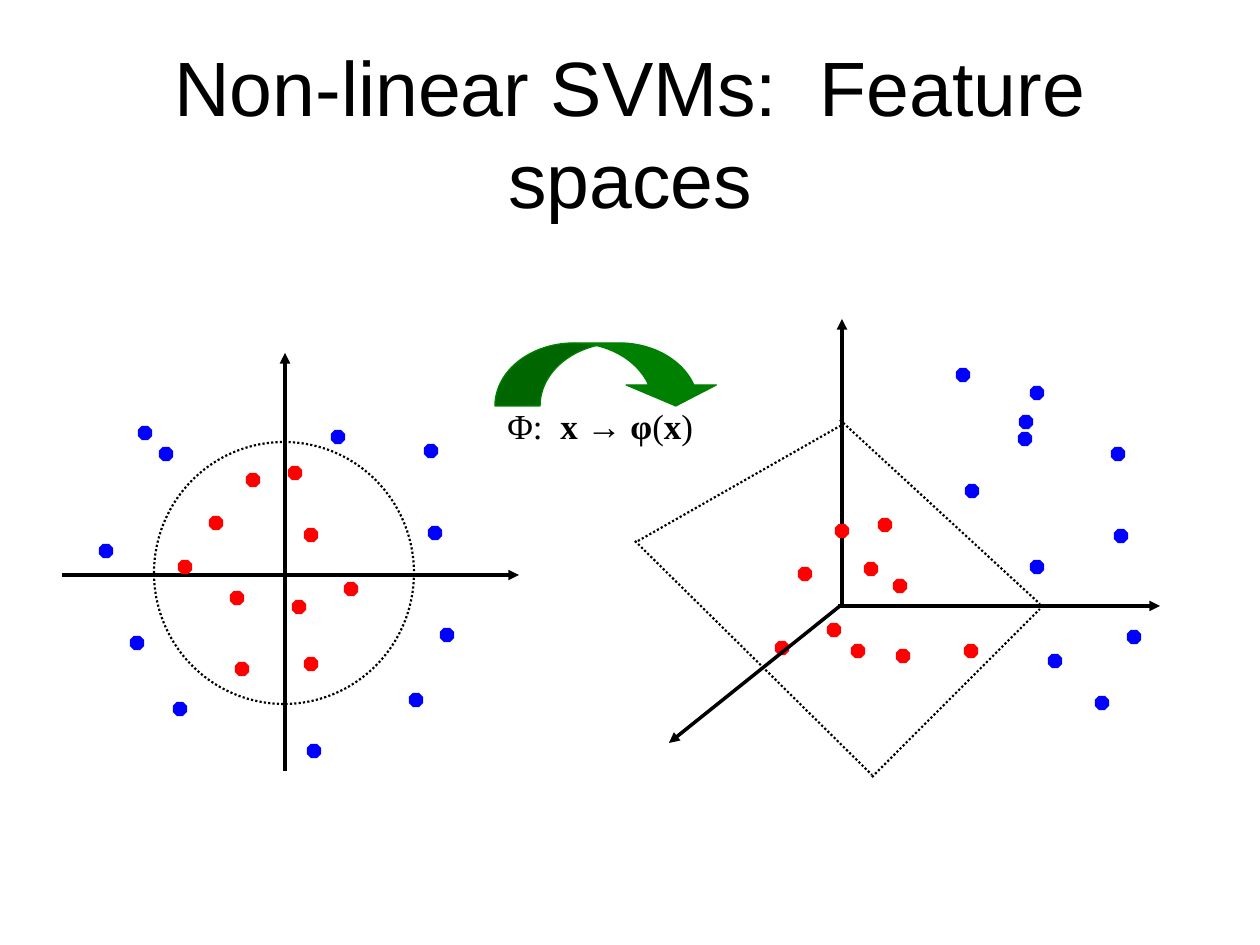
from lxml import etree
from pptx import Presentation
from pptx import util as u
from pptx.dml.color import RGBColor
from pptx.enum import dml, shapes, text
from pptx.oxml.ns import qn

BLACK = RGBColor(0x00, 0x00, 0x00)
RED = RGBColor(0xFF, 0x00, 0x00)
BLUE = RGBColor(0x00, 0x00, 0xFF)
GREEN = RGBColor(0x00, 0x80, 0x00)
SCALE = 914400 // 126


def px(*lengths):
    return [u.Emu(round(length * SCALE)) for length in lengths]


class FeatureSlide:
    """Draws the elements of a scatter diagram on one slide in one style."""

    dot_size = 13
    axis_width = u.Pt(2)
    border_width = u.Pt(1.25)

    def __init__(self, deck):
        self.shapes = deck.slides.add_slide(deck.slide_layouts[6]).shapes

    def label(self, area, spans, font, size, align, anchor, space_before=0):
        frame = self.shapes.add_textbox(*px(*area)).text_frame
        frame.word_wrap = True
        frame.vertical_anchor = anchor
        para = frame.paragraphs[0]
        para.alignment = align
        para.space_before = u.Pt(space_before)
        for words, bold in spans:
            span = para.add_run()
            span.text = words
            span.font.name = font
            span.font.size = u.Pt(size)
            span.font.bold = bold
            span.font.color.rgb = BLACK

    def solid(self, preset, area, color, adjustments):
        shape = self.shapes.add_shape(preset, *px(*area))
        shape.shadow.inherit = False
        shape.fill.solid()
        shape.fill.fore_color.rgb = color
        shape.line.color.rgb = color
        shape.line.width = u.Pt(0.75)
        for index, value in enumerate(adjustments):
            shape.adjustments[index] = value

    def dots(self, centres, color):
        size = self.dot_size
        for x, y in centres:
            area = (x - size / 2, y - size / 2, size, size)
            self.solid(shapes.MSO_SHAPE.OCTAGON, area, color, [0.29])

    def dotted(self, line):
        line.color.rgb = BLACK
        line.width = self.border_width
        line.dash_style = dml.MSO_LINE.ROUND_DOT

    def circle(self, area):
        shape = self.shapes.add_shape(shapes.MSO_SHAPE.OVAL, *px(*area))
        shape.shadow.inherit = False
        shape.fill.background()
        self.dotted(shape.line)

    def connector(self, start, end):
        link = self.shapes.add_connector(
            shapes.MSO_CONNECTOR.STRAIGHT, *px(*start, *end))
        etree.SubElement(link._element.spPr, qn("a:effectLst"))
        return link.line

    def axis(self, start, end):
        line = self.connector(start, end)
        line.color.rgb = BLACK
        line.width = self.axis_width
        etree.SubElement(line._get_or_add_ln(), qn("a:tailEnd"), type="triangle")

    def border(self, start, end):
        self.dotted(self.connector(start, end))


INPUT_RED = [(295, 473), (216, 523), (237, 598), (311, 664), (253, 480),
             (185, 567), (242, 669), (311, 535), (351, 589), (299, 607)]
INPUT_BLUE = [(435, 533), (416, 700), (106, 551), (314, 751), (447, 635),
              (180, 709), (137, 643), (145, 433), (338, 437), (166, 454),
              (431, 451)]
FEATURE_RED = [(885, 525), (805, 574), (858, 651), (971, 651), (842, 531),
               (871, 569), (903, 656), (900, 586), (834, 630), (782, 648)]
FEATURE_BLUE = [(1121, 536), (1102, 703), (1037, 393), (1037, 567), (1134, 637),
                (972, 491), (1055, 661), (1026, 422), (1025, 439), (963, 375),
                (1118, 454)]
PLANE = [((840, 420), (1040, 604)), ((872, 777), (1040, 609)),
         ((638, 541), (840, 426)), ((635, 541), (872, 775))]

deck = Presentation()
deck.slide_width, deck.slide_height = px(1260, 945)
page = FeatureSlide(deck)

page.label((95, 53, 1071, 158), [("Non-linear SVMs:  Feature spaces", False)],
           "Arial", 44, text.PP_ALIGN.CENTER, text.MSO_ANCHOR.MIDDLE)

page.axis((285, 771), (285, 353))
page.axis((62, 575), (519, 575))
page.dots(INPUT_RED, RED)
page.dots(INPUT_BLUE, BLUE)
page.circle((154, 442, 260, 262))

page.axis((842, 604), (842, 319))
page.axis((838, 606), (1160, 606))
page.dots(FEATURE_RED, RED)
page.dots(FEATURE_BLUE, BLUE)
page.axis((840, 606), (669, 743))
for start, end in PLANE:
    page.border(start, end)

page.solid(shapes.MSO_SHAPE.CURVED_DOWN_ARROW, (495, 343, 226, 63), GREEN,
           [0.717, 1.433, 0.333])
page.label((495, 398, 232, 54),
           [("Φ:  ", False), ("x → φ", True), ("(", False), ("x", True),
            (")", False)],
           "Times New Roman", 20, text.PP_ALIGN.LEFT, text.MSO_ANCHOR.TOP, 10)

deck.save("out.pptx")
